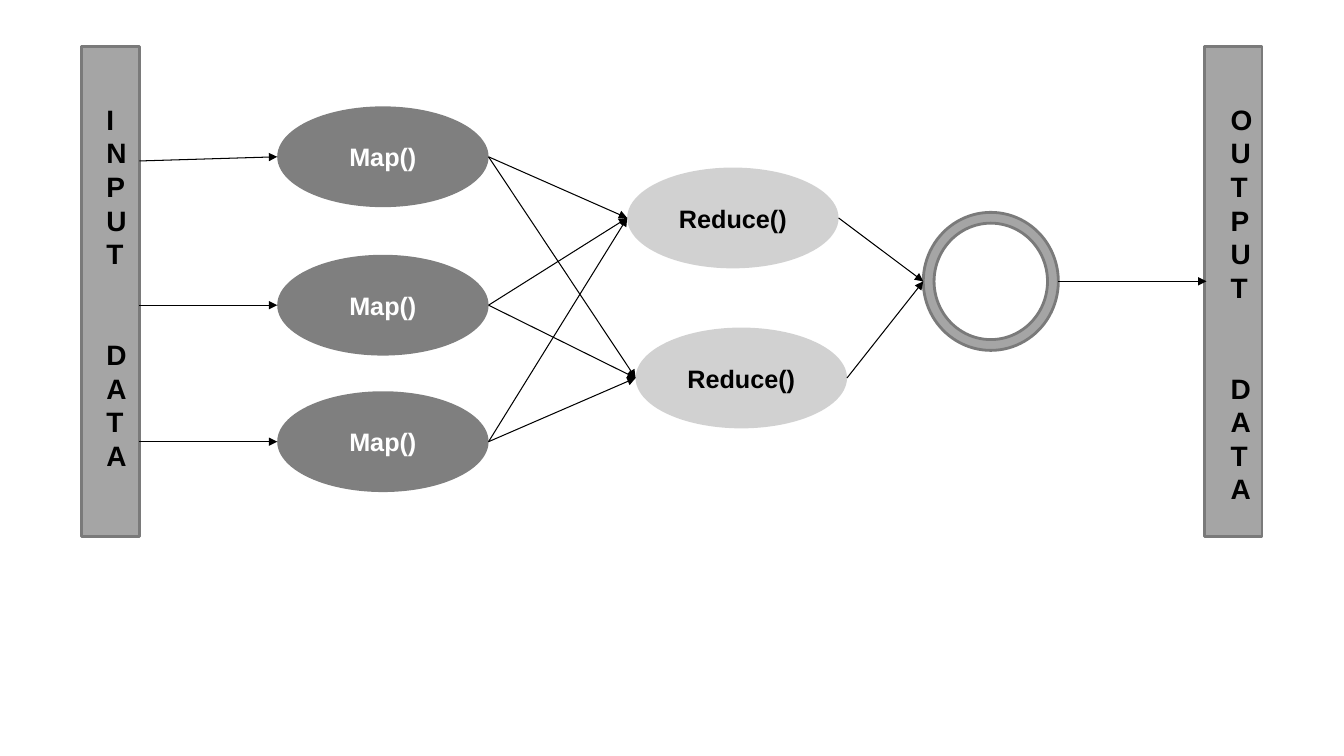
from lxml.etree import SubElement
from pptx import Presentation
from pptx.dml.color import RGBColor
from pptx.enum.shapes import MSO_CONNECTOR as Conn, MSO_SHAPE as Kind
from pptx.enum.text import MSO_ANCHOR as Anchor, PP_ALIGN as Align
from pptx.oxml.ns import qn
from pptx.util import Pt

HEX = {"ink": "000000", "paper": "FFFFFF", "gray": "A5A5A5", "edge": "7A7A7A"}

# Bars: left edge, left edge of the letters, words read downwards
BARS = [
    (58.3, 76, ("INPUT", "DATA")),
    (860.2, 879, ("OUTPUT", "DATA")),
]
BAR_TOP, BAR_W, BAR_H = 33, 41.3, 350
WORD_TOP, WORD_W, LINE_H, GAP = 73, 16, 24, 48

# Ovals: left edge, middle height
MAPS = [(198, 112), (198, 218), (198, 315.5)]
REDUCES = [(448, 155.7), (454, 270)]
OVAL_W, OVAL_H = 151, 72

RING = (659.5, 201)
RING_W, RING_H, RING_ADJ = 96.5, 98.6, 0.08
FEEDS = [115, 218, 315.5]
OUT_X = 861.8


def color(name):
    return RGBColor.from_string(HEX[name])


def add_run(para, text, size, ink):
    run = para.add_run()
    run.text = text
    font = run.font
    font.name, font.size, font.bold = "Arial", Pt(size), True
    font.color.rgb = color(ink)


def add_form(kind, x, y, w, h, fill, edge=None):
    form = slide.shapes.add_shape(kind, Pt(x), Pt(y), Pt(w), Pt(h))
    form.shadow.inherit = False
    form.fill.solid()
    form.fill.fore_color.rgb = color(fill)
    if edge:
        form.line.color.rgb = color(edge)
        form.line.width = Pt(2)
    else:
        form.line.fill.background()
    return form


def add_bar(x, text_x, words):
    add_form(Kind.RECTANGLE, x, BAR_TOP, BAR_W, BAR_H, "gray", "edge")
    count = sum(len(word) for word in words)
    high = count * LINE_H + GAP
    box = slide.shapes.add_textbox(Pt(text_x), Pt(WORD_TOP), Pt(WORD_W), Pt(high))
    frame = box.text_frame
    frame.word_wrap = True  # one letter fits on a line
    frame.margin_left = frame.margin_right = 0
    frame.margin_top = frame.margin_bottom = 0
    for i, word in enumerate(words):
        para = frame.add_paragraph() if i else frame.paragraphs[0]
        para.line_spacing = Pt(LINE_H)
        if i:
            para.space_before = Pt(GAP)
        add_run(para, word, 20, "ink")


def add_oval(x, mid, text, fill, ink):
    oval = add_form(Kind.OVAL, x, mid - OVAL_H / 2, OVAL_W, OVAL_H, fill)
    tone = oval.fill._xPr.find(qn("a:solidFill"))[0]
    SubElement(tone, qn("a:alpha"), val="50000")
    frame = oval.text_frame
    frame.vertical_anchor = Anchor.MIDDLE
    para = frame.paragraphs[0]
    para.alignment = Align.CENTER
    add_run(para, text, 18, ink)


def add_arrow(start, end):
    ends = [Pt(v) for v in (*start, *end)]
    arrow = slide.shapes.add_connector(Conn.STRAIGHT, *ends)
    arrow.line.color.rgb = color("ink")
    arrow.line.width = Pt(0.75)
    SubElement(arrow.line._get_or_add_ln(), qn("a:tailEnd"), type="triangle")
    SubElement(arrow._element.spPr, qn("a:effectLst"))


def right(oval):
    return oval[0] + OVAL_W, oval[1]


deck = Presentation()
deck.slide_width, deck.slide_height = Pt(960), Pt(540)
slide = deck.slides.add_slide(deck.slide_layouts[6])

for bar in BARS:
    add_bar(*bar)
for spot in MAPS:
    add_oval(*spot, "Map()", "ink", "paper")
for spot in REDUCES:
    add_oval(*spot, "Reduce()", "gray", "ink")

ring_x, ring_y = RING
ring = add_form(Kind.DONUT, ring_x, ring_y - RING_H / 2, RING_W, RING_H, "gray", "edge")
ring.adjustments[0] = RING_ADJ

for feed, spot in zip(FEEDS, MAPS):
    add_arrow((BARS[0][0] + BAR_W, feed), spot)
    for goal in REDUCES:
        add_arrow(right(spot), goal)
for spot in REDUCES:
    add_arrow(right(spot), RING)
add_arrow((ring_x + RING_W, ring_y), (OUT_X, ring_y))

deck.save("out.pptx")
